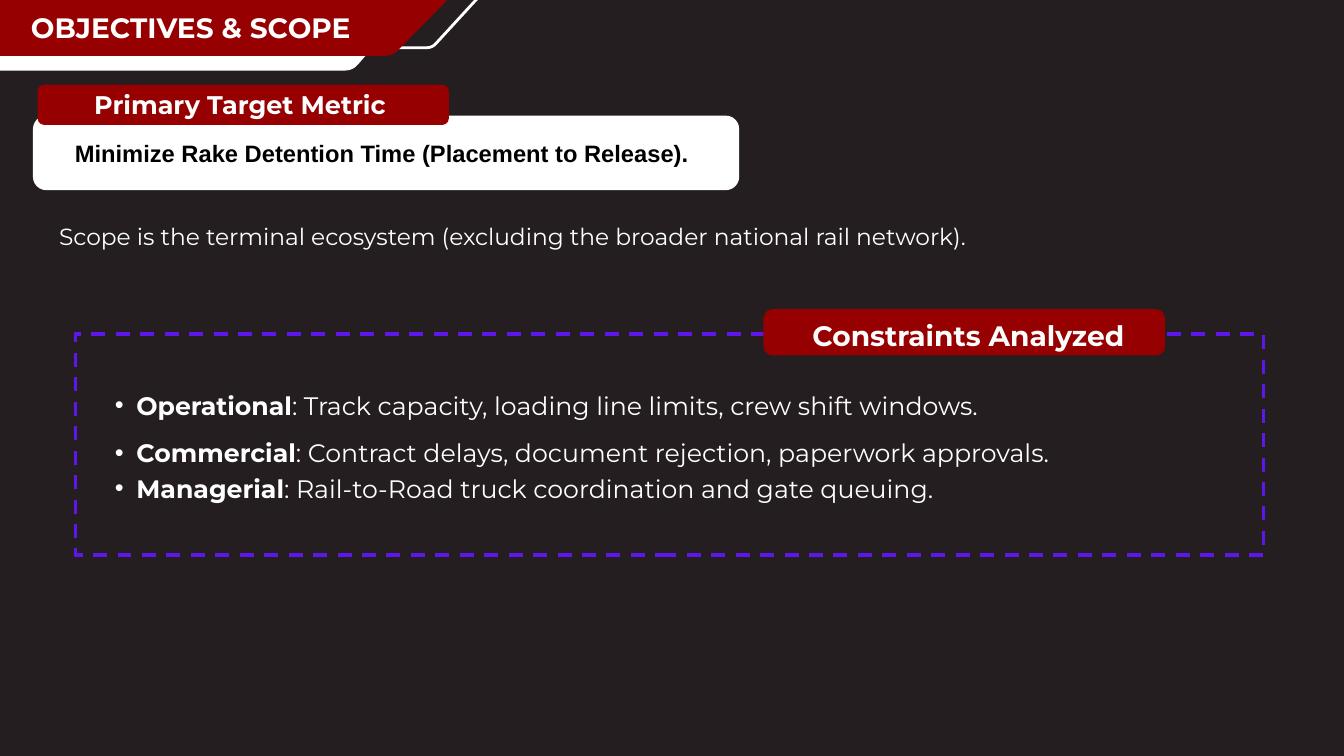
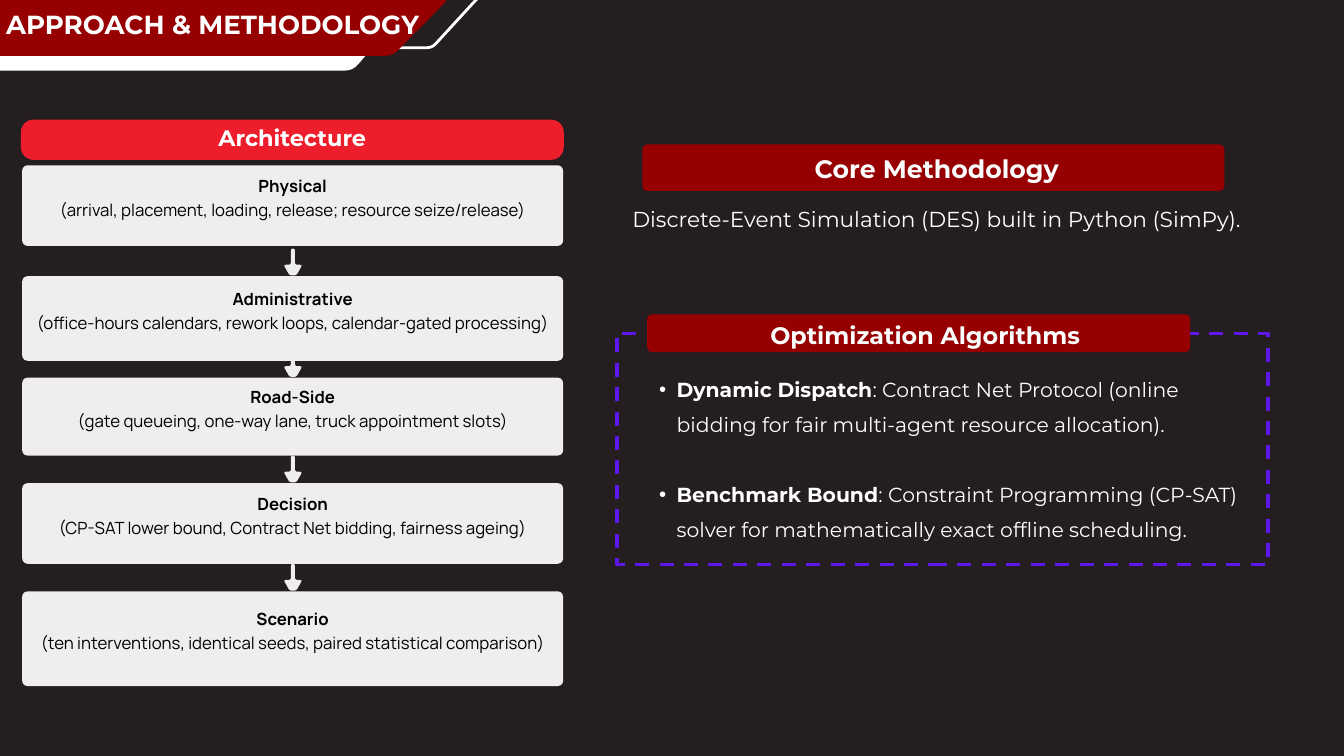
"""Build two slides on the objectives and the methodology of a rail terminal study."""
from dataclasses import dataclass
from math import hypot

from lxml import etree
from pptx import Presentation
from pptx.dml.color import RGBColor
from pptx.enum.dml import MSO_LINE
from pptx.enum.shapes import MSO_SHAPE
from pptx.enum.text import MSO_ANCHOR, PP_ALIGN
from pptx.oxml.ns import qn
from pptx.util import Inches, Pt

RECTANGLE, ROUNDED = MSO_SHAPE.RECTANGLE, MSO_SHAPE.ROUNDED_RECTANGLE
DASH = MSO_LINE.DASH
MIDDLE = MSO_ANCHOR.MIDDLE
LEFT, CENTER, JUSTIFY = PP_ALIGN.LEFT, PP_ALIGN.CENTER, PP_ALIGN.JUSTIFY

CHARCOAL = RGBColor(0x24, 0x1E, 0x20)
MAROON = RGBColor(0x96, 0x00, 0x00)
RED = RGBColor(0xED, 0x1D, 0x2B)
VIOLET = RGBColor(0x5E, 0x17, 0xEB)
PALE = RGBColor(0xEF, 0xED, 0xED)
OFF_WHITE = RGBColor(0xFC, 0xFD, 0xFD)
WHITE = RGBColor(0xFF, 0xFF, 0xFF)
BLACK = RGBColor(0x00, 0x00, 0x00)

CORNER_STEPS = 6
ARROW_HEIGHT = 0.4
ARROW_CENTER = 4.36


@dataclass(frozen=True)
class Style:
    """Type settings of a paragraph."""
    size: float
    spacing: float
    color: RGBColor = WHITE
    bold: bool = False
    font: str = "Montserrat"
    align: PP_ALIGN = LEFT


@dataclass(frozen=True)
class Box:
    """Place of an element in inches."""
    left: float
    top: float
    width: float
    height: float

    def emu(self) -> list:
        """Return the place as lengths."""
        return [Inches(v) for v in (self.left, self.top, self.width, self.height)]


@dataclass(frozen=True)
class Label:
    """Rounded plate with centred lines, moved by shift and lift."""
    box: Box
    fill: RGBColor
    radius: float
    lines: tuple
    shift: float = 0
    lift: float = 0


@dataclass(frozen=True)
class Banner:
    """Pointed band that runs in from the top left corner."""
    left: float
    top: float
    shoulder: float
    tip: float
    bottom: float
    radius: float
    filled: RGBColor | None = None

    def corners(self) -> list:
        """Return the five corners of the band."""
        middle = (self.top + self.bottom) / 2
        return [(self.left, self.top), (self.shoulder, self.top), (self.tip, middle),
                (self.shoulder, self.bottom), (self.left, self.bottom)]


@dataclass(frozen=True)
class Bullets:
    """Bulleted terms with their explanations; gaps are points after each item."""
    box: Box
    size: float
    indent: float
    align: PP_ALIGN
    items: tuple
    spacings: tuple
    gaps: tuple


BANNERS = (
    Banner(-1.2, -1.12, 6.43, 7.27, 0.71, 0.08),
    Banner(-0.19, -0.87, 5.25, 6.08, 1.05, 0.12, WHITE),
    Banner(-0.19, -0.87, 5.84, 6.68, 0.83, 0.1, MAROON),
)
LAYER_NAME = Style(18, 25.2, BLACK, True, "Manrope", CENTER)
LAYER_DETAIL = Style(18, 25.2, BLACK, False, "Manrope", CENTER)
LAYERS = (
    (2.46, 1.2, "Physical", "(arrival, placement, loading, release; resource seize/release)"),
    (4.11, 1.26, "Administrative", "(office-hours calendars, rework loops, calendar-gated processing)"),
    (5.62, 1.16, "Road-Side", "(gate queueing, one-way lane, truck appointment slots)"),
    (7.19, 1.2, "Decision", "(CP-SAT lower bound, Contract Net bidding, fairness ageing)"),
    (8.8, 1.41, "Scenario", "(ten interventions, identical seeds, paired statistical comparison)"),
)
CONSTRAINTS = Bullets(
    Box(1.39, 5.73, 17.03, 1.73), 27, 0.64, JUSTIFY,
    (("Operational", ": Track capacity, loading line limits, crew shift windows."),
     ("Commercial", ": Contract delays, document rejection, paperwork approvals."),
     ("Managerial", ": Rail-to-Road truck coordination and gate queuing.")),
    (37.8, 51, 37.8), (0, 0, 0))
ALGORITHMS = Bullets(
    Box(9.55, 5.45, 9.03, 2.52), 21.8, 0.52, LEFT,
    (("Dynamic Dispatch",
      ": Contract Net Protocol (online bidding for fair multi-agent resource allocation)."),
     ("Benchmark Bound",
      ": Constraint Programming (CP-SAT) solver for mathematically exact offline scheduling.")),
    (37.6, 37.6), (37.6, 0))


def heading(size: float, spacing: float, color: RGBColor = OFF_WHITE) -> Style:
    """Return the bold centred style of a label."""
    return Style(size, spacing, color, True, align=CENTER)


def rounded_outline(corners: list, radius: float) -> list:
    """Replace each corner by points on a quadratic curve."""
    points = []
    for i, (x, y) in enumerate(corners):
        ends = []
        for nx, ny in (corners[i - 1], corners[(i + 1) % len(corners)]):
            length = hypot(nx - x, ny - y)
            share = min(radius / length, 0.5)
            ends.append((x + (nx - x) * share, y + (ny - y) * share))
        (ax, ay), (bx, by) = ends
        for step in range(CORNER_STEPS + 1):
            t = step / CORNER_STEPS
            u = 1 - t
            points.append((u * u * ax + 2 * u * t * x + t * t * bx,
                           u * u * ay + 2 * u * t * y + t * t * by))
    return points


def paint(shape, fill: RGBColor | None, line: RGBColor | None = None, width: float = 0) -> None:
    """Set fill and line and drop the shadow."""
    shape.shadow.inherit = False
    if fill is None:
        shape.fill.background()
    else:
        shape.fill.solid()
        shape.fill.fore_color.rgb = fill
    if line is None:
        shape.line.fill.background()
    else:
        shape.line.color.rgb = line
        shape.line.width = Pt(width)


def add_outline(slide, corners: list, radius: float, fill: RGBColor | None) -> None:
    """Draw a closed outline with soft corners, white-lined when unfilled."""
    points = [(Inches(x), Inches(y)) for x, y in rounded_outline(corners, radius)]
    builder = slide.shapes.build_freeform(*points[0])
    builder.add_line_segments(points[1:], close=True)
    paint(builder.convert_to_shape(), fill, WHITE if fill is None else None, 3)


def add_run(paragraph, text: str, style: Style, bold: bool) -> None:
    """Append one run in the given style."""
    run = paragraph.add_run()
    run.text = text
    run.font.name = style.font
    run.font.size = Pt(style.size)
    run.font.bold = bold
    run.font.color.rgb = style.color


def fill_frame(frame, lines: tuple) -> None:
    """Write one paragraph for each pair of text and style."""
    frame.word_wrap = True
    for i, (text, style) in enumerate(lines):
        paragraph = frame.add_paragraph() if i else frame.paragraphs[0]
        paragraph.alignment = style.align
        paragraph.line_spacing = Pt(style.spacing)
        add_run(paragraph, text, style, style.bold)


def set_insets(frame, left: float = 0, top: float = 0, right: float = 0, bottom: float = 0) -> None:
    """Set the four insets of a text frame."""
    frame.margin_left, frame.margin_top = Inches(left), Inches(top)
    frame.margin_right, frame.margin_bottom = Inches(right), Inches(bottom)


def add_text(slide, box: Box, text: str, style: Style) -> None:
    """Add a plain text box."""
    frame = slide.shapes.add_textbox(*box.emu()).text_frame
    set_insets(frame)
    fill_frame(frame, ((text, style),))


def add_label(slide, label: Label) -> None:
    """Draw a rounded plate with its text."""
    plate = slide.shapes.add_shape(ROUNDED, *label.box.emu())
    plate.adjustments[0] = label.radius / label.box.height
    paint(plate, label.fill)
    frame = plate.text_frame
    frame.vertical_anchor = MIDDLE
    set_insets(frame, max(label.shift, 0) * 2, 0, max(-label.shift, 0) * 2, label.lift * 2)
    fill_frame(frame, label.lines)


def add_panel(slide, box: Box) -> None:
    """Draw a dashed frame."""
    panel = slide.shapes.add_shape(RECTANGLE, *box.emu())
    paint(panel, None, VIOLET, 3.75)
    panel.line.dash_style = DASH


def add_bullets(slide, bullets: Bullets) -> None:
    """Write the bulleted terms."""
    frame = slide.shapes.add_textbox(*bullets.box.emu()).text_frame
    frame.word_wrap = True
    set_insets(frame)
    for i, (term, detail) in enumerate(bullets.items):
        style = Style(bullets.size, bullets.spacings[i])
        paragraph = frame.add_paragraph() if i else frame.paragraphs[0]
        properties = paragraph._p.get_or_add_pPr()
        properties.set("marL", str(Inches(bullets.indent)))
        properties.set("indent", str(-Inches(bullets.indent / 2)))
        etree.SubElement(properties, qn("a:buFont")).set("typeface", "Arial")
        etree.SubElement(properties, qn("a:buChar")).set("char", "•")
        paragraph.alignment = bullets.align
        paragraph.line_spacing = Pt(style.spacing)
        if bullets.gaps[i]:
            paragraph.space_after = Pt(bullets.gaps[i])
        add_run(paragraph, term, style, True)
        add_run(paragraph, detail, style, False)


def add_arrow(slide, top: float) -> None:
    """Draw a soft arrow that points down to the next layer."""
    side = [(0.03, 0), (0.03, 0.24), (0.14, 0.24), (0.05, ARROW_HEIGHT)]
    profile = side + [(-x, y) for x, y in reversed(side)]
    add_outline(slide, [(ARROW_CENTER + x, top + y) for x, y in profile], 0.04, PALE)


def add_base_slide(deck, title: str, box: Box, style: Style):
    """Add a slide with background, banner and title."""
    slide = deck.slides.add_slide(deck.slide_layouts[6])
    slide.background.fill.solid()
    slide.background.fill.fore_color.rgb = CHARCOAL
    for banner in BANNERS:
        add_outline(slide, banner.corners(), banner.radius, banner.filled)
    add_text(slide, box, title, style)
    return slide


def build_objectives(deck) -> None:
    """Build the slide on objectives and scope."""
    slide = add_base_slide(deck, "OBJECTIVES & SCOPE", Box(0.46, 0.07, 4.99, 0.56),
                           Style(30, 42.1, bold=True))
    add_panel(slide, Box(1.12, 4.97, 17.68, 3.29))
    add_label(slide, Label(Box(11.36, 4.6, 5.98, 0.69), MAROON, 0.14,
                           (("Constraints Analyzed", heading(30.1, 42.1)),), 0.06))
    add_text(slide, Box(0.88, 3.24, 15.14, 0.45),
             "Scope is the terminal ecosystem (excluding the broader national rail network).",
             Style(25, 35))
    add_label(slide, Label(Box(0.49, 1.72, 10.51, 1.11), WHITE, 0.2,
                           (("Minimize Rake Detention Time (Placement to Release).",
                             Style(25.4, 30.5, BLACK, True, "Arial", CENTER)),), -0.06))
    add_label(slide, Label(Box(0.56, 1.26, 6.12, 0.6), MAROON, 0.1,
                           (("Primary Target Metric", heading(27.3, 38.2)),), -0.05, 0.04))
    add_bullets(slide, CONSTRAINTS)


def build_methodology(deck) -> None:
    """Build the slide on approach and methodology."""
    slide = add_base_slide(deck, "APPROACH & METHODOLOGY", Box(0.09, 0.04, 6.32, 0.52),
                           Style(28, 39.3, bold=True))
    add_label(slide, Label(Box(9.56, 2.15, 8.66, 0.69), MAROON, 0.07,
                           (("Core Methodology", heading(27, 37.8)),), 0.05, 0.02))
    add_text(slide, Box(9.41, 3, 9.46, 0.43),
             "Discrete-Event Simulation (DES) built in Python (SimPy).", Style(23.2, 32.5))
    add_panel(slide, Box(9.18, 4.96, 9.69, 3.44))
    add_label(slide, Label(Box(9.63, 4.68, 8.08, 0.56), MAROON, 0.07,
                           (("Optimization Algorithms", heading(25.5, 35.6)),), 0.1, 0.01))
    add_bullets(slide, ALGORITHMS)
    add_label(slide, Label(Box(0.31, 1.78, 8.08, 0.6), RED, 0.19,
                           (("Architecture", heading(24, 33.6, WHITE)),), 0, 0.07))
    for i, (top, height, name, detail) in enumerate(LAYERS):
        add_label(slide, Label(Box(0.33, top, 8.05, height), PALE, 0.08,
                               ((name, LAYER_NAME), (detail, LAYER_DETAIL)), 0, 0.14))
        if i:
            add_arrow(slide, top - ARROW_HEIGHT - 0.01)


def main() -> None:
    """Build and save the deck."""
    deck = Presentation()
    deck.slide_width, deck.slide_height = Inches(20), Inches(11.25)
    build_objectives(deck)
    build_methodology(deck)
    deck.save("out.pptx")


if __name__ == "__main__":
    main()
